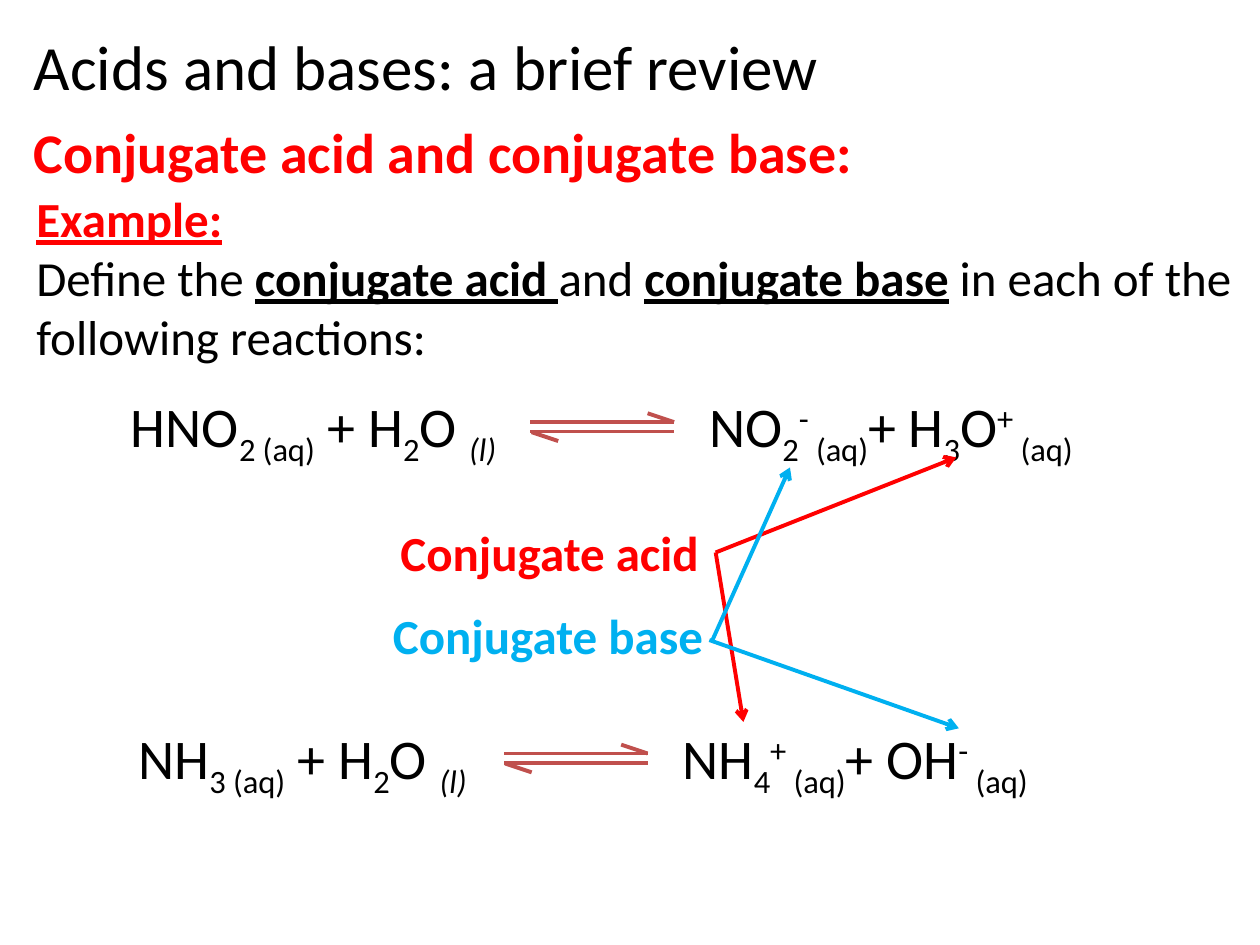
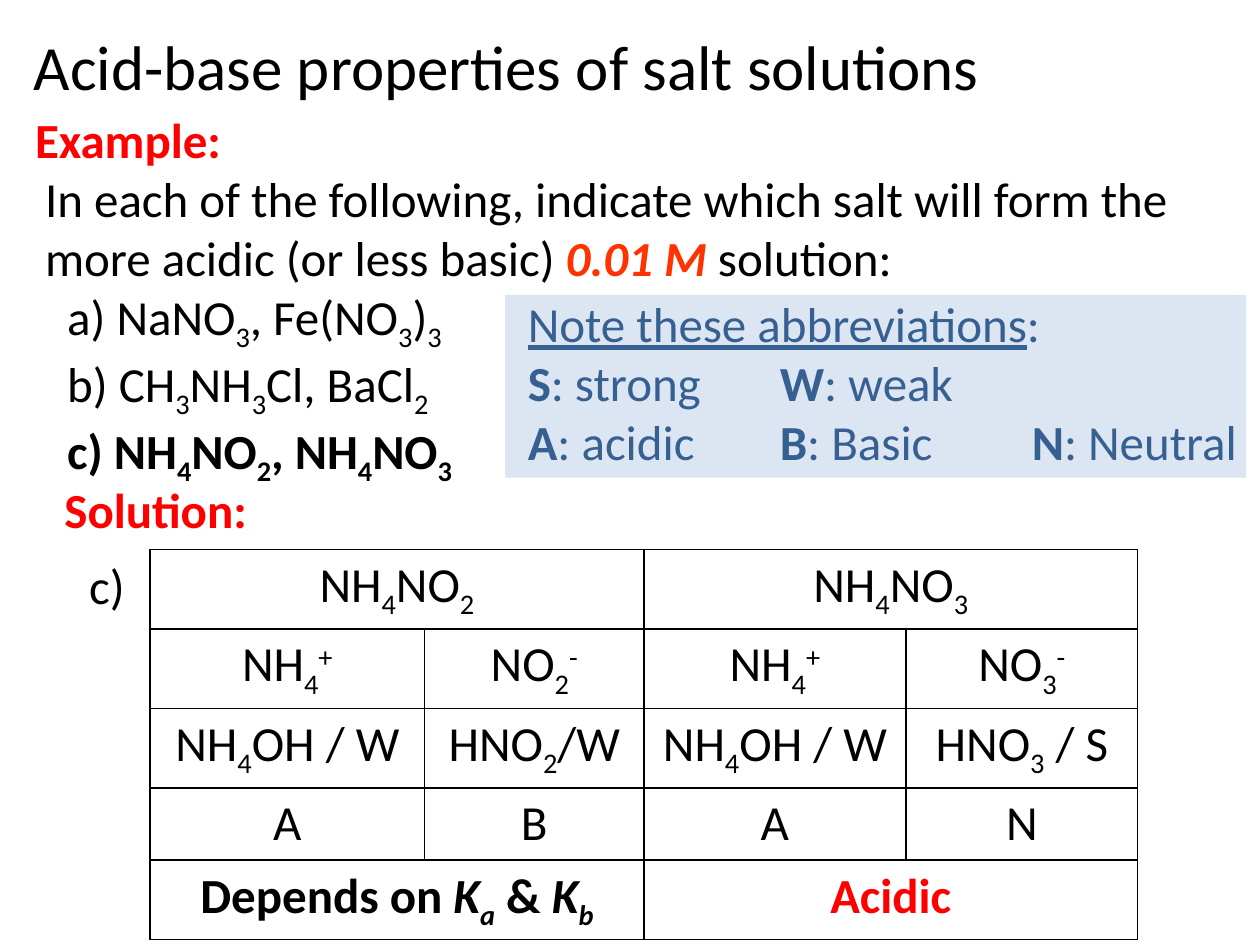
import pptx
import pptx.util
import pptx.dml.color
import pptx.enum.shapes
import pptx.enum.text
import pptx.oxml.ns
import lxml.etree

FONT = "Calibri"
BLACK, RED, ORANGE, CYAN = "000000", "FF0000", "FF3300", "00B0F0"
BRICK, NAVY, PALE = "C0504D", "376092", "DCE6F2"
TITLE_SIZE, LARGE, BODY = 36, 32, 28
LINE_WIDTH = 2.25
COLS, ROWS = 100, 75  # slide grid; boxes are (column, row, columns, rows)

prs = pptx.Presentation()
prs.slide_width = pptx.util.Inches(10)
prs.slide_height = pptx.util.Inches(7.5)


def rgb(color):
    return pptx.dml.color.RGBColor.from_string(color)


def x(cols):
    return round(prs.slide_width * cols / COLS)


def y(rows):
    return round(prs.slide_height * rows / ROWS)


def place(box):
    return x(box[0]), y(box[1]), x(box[2]), y(box[3])


def sub(parent, tag, **attrs):
    return lxml.etree.SubElement(parent, pptx.oxml.ns.qn(tag), attrs)


# Text: paired marks switch a style on and off
# * bold, ` italic, _ underline, ~ subscript, ^ superscript, # accent colour
def add_run(p, text, on, size, color, accent):
    r = p.add_run()
    r.text = text
    font = r.font
    font.name, font.size = FONT, pptx.util.Pt(size)
    font.color.rgb = rgb(accent if "#" in on else color)
    font.bold, font.italic, font.underline = "*" in on, "`" in on, "_" in on
    for mark, baseline in (("~", "-25000"), ("^", "30000")):
        if mark in on:
            font._element.set("baseline", baseline)


def write(p, marked, size=BODY, color=BLACK, accent=RED):
    on, text = set(), ""
    for ch in marked:
        if ch not in "*`_~^#":
            text += ch
            continue
        if text:
            add_run(p, text, on, size, color, accent)
            text = ""
        on ^= {ch}
    if text:
        add_run(p, text, on, size, color, accent)


def add_text(s, box, *lines, align=None, **style):
    sp = s.shapes.add_textbox(*place(box))
    tf = sp.text_frame
    tf.word_wrap = True
    for i, line in enumerate(lines):
        p = tf.paragraphs[0] if i == 0 else tf.add_paragraph()
        p.alignment = align
        write(p, line, **style)
    return sp


def add_line(s, start, end, color, arrow=False):
    cn = s.shapes.add_connector(pptx.enum.shapes.MSO_CONNECTOR.STRAIGHT,
                                x(start[0]), y(start[1]), x(end[0]), y(end[1]))
    cn.line.color.rgb = rgb(color)
    cn.line.width = pptx.util.Pt(LINE_WIDTH)
    if arrow:
        sub(cn.line._get_or_add_ln(), "a:tailEnd", type="arrow")
    sub(cn._element.spPr, "a:effectLst")
    return cn


def add_slide(title):
    s = prs.slides.add_slide(prs.slide_layouts[6])
    add_text(s, (1.7, 1.7, 96, 7.1), title, size=TITLE_SIZE)
    return s


# Reaction: reactants, equilibrium arrows, products
def add_reaction(s, box, arrow_col, reactants, products):
    left, top, width, height = box
    add_text(s, (left, top, arrow_col, height), reactants, size=LARGE)
    ax, ay = left + arrow_col, top + 2.9
    strokes = [(0, 0, 11.4, 0), (9.3, -0.7, 11.4, 0),
               (0, 0.75, 11.4, 0.75), (0.1, 0.8, 2.2, 1.5)]
    for x1, y1, x2, y2 in strokes:
        add_line(s, (ax + x1, ay + y1), (ax + x2, ay + y2), BRICK)
    gap = arrow_col + 13.2
    add_text(s, (left + gap, top, width - gap, height), products, size=LARGE)


# Labels between the reactions, with arrows to the ions they name
def add_conjugate_labels(s, box):
    left, top, width, height = box

    def pointers(color, *ends):
        return [add_line(s, (left + x1, top + y1), (left + x2, top + y2), color, True)
                for x1, y1, x2, y2 in ends]

    acid = add_text(s, (left + 0.6, top, width - 0.9, height), "*Conjugate acid*", color=RED)
    add_text(s, (left, top + 6.6, width, height), "*Conjugate base*", color=CYAN)
    for cn in pointers(RED, (26.6, 2.9, 45.7, -4.7), (26.6, 2.9, 28.8, 16.3)):
        cn.begin_connect(acid, 3)
    pointers(CYAN, (26.3, 9.9, 32.5, -3.9), (26.1, 9.8, 45.9, 16.8))


# Note with abbreviations lined up on tab stops
def add_note(s, box):
    left, top, width, height = box
    sp = s.shapes.add_shape(pptx.enum.shapes.MSO_SHAPE.RECTANGLE, *place(box))
    sp.shadow.inherit = False
    sp.fill.solid()
    sp.fill.fore_color.rgb = rgb(PALE)
    sp.line.fill.background()
    note = add_text(s, (left + 0.8, top - 0.6, width, height + 0.6),
                    "_Note these abbreviations_:",
                    "*S*: strong\t*W*: weak",
                    "*A*: acidic\t*B*: Basic\t*N*: Neutral", color=NAVY)
    for p in note.text_frame.paragraphs[1:]:
        tabs = sub(p._p.get_or_add_pPr(), "a:tabLst")
        for stop in (20, 40):
            sub(tabs, "a:tab", pos=str(x(stop)), algn="l")


# Table: rows with two entries span two columns each
def style_cell(cell):
    tcPr = cell._tc.get_or_add_tcPr()
    for side in ("a:lnL", "a:lnR", "a:lnT", "a:lnB"):
        ln = sub(tcPr, side, w=str(pptx.util.Pt(1)))
        sub(sub(ln, "a:solidFill"), "a:srgbClr", val=BLACK)
    cell.fill.background()


def add_salt_table(s, box, col_widths, rows):
    table = s.shapes.add_table(len(rows), len(col_widths), *place(box)).table
    table.first_row = table.horz_banding = False
    for column, width in zip(table.columns, col_widths):
        column.width = x(width)
    for i, entries in enumerate(rows):
        table.rows[i].height = y(box[3] / len(rows))
        for j in range(len(col_widths)):
            style_cell(table.cell(i, j))
        span = len(col_widths) // len(entries)
        for k, entry in enumerate(entries):
            cell = table.cell(i, k * span)
            if span > 1:
                cell.merge(table.cell(i, k * span + span - 1))
            p = cell.text_frame.paragraphs[0]
            p.alignment = pptx.enum.text.PP_ALIGN.CENTER
            write(p, entry)


def build_conjugates():
    s = add_slide("Acids and bases: a brief review")
    add_text(s, (1.7, 8.8, 83.2, 6.4), "*Conjugate acid and conjugate base:*",
             size=LARGE, color=RED)
    add_text(s, (1.9, 14.5, 98.5, 15.1), "#*_Example:_*#",
             "Define the *_conjugate acid _*and *_conjugate base_*"
             " in each of the following reactions:")
    add_reaction(s, (9.4, 30.6, 81.9, 6.4), 32.7,
                 "HNO~2 (aq)~ + H~2~O ~`(l)`~",
                 "NO~2~^- ^~(aq)~+ H~3~O^+ ^~(aq)~")
    add_reaction(s, (10, 56.9, 77.2, 6.4), 30,
                 "NH~3 (aq)~ + H~2~O ~`(l)`~",
                 "NH~4~^+ ^~(aq)~+ OH^- ^~(aq)~")
    add_conjugate_labels(s, (30.2, 41, 26.9, 5.7))


def build_salts():
    s = add_slide("Acid-base properties of salt solutions")
    add_text(s, (1.8, 8.2, 96, 5.7), "*Example:*", color=RED)
    question = add_text(s, (2.6, 12.9, 94.6, 24.6),
                        "In each of the following, indicate which salt will form the",
                        "more acidic (or less basic) #*`0.01 M`*# solution:",
                        "a) NaNO~3~, Fe(NO~3~)~3~",
                        "b) CH~3~NH~3~Cl, BaCl~2~",
                        "*c) NH~4~NO~2~, NH~4~NO~3~*", accent=ORANGE)
    for p in question.text_frame.paragraphs[2:]:
        p._p.get_or_add_pPr().set("marL", str(x(1.75)))
    add_text(s, (4, 37.6, 16.7, 5.7), "*Solution:*", color=RED,
             align=pptx.enum.text.PP_ALIGN.CENTER)
    add_salt_table(s, (11.9, 43.6, 78.4, 28.6), (21.8, 17.4, 20.8, 18.4), [
        ["NH~4~NO~2~", "NH~4~NO~3~"],
        ["NH~4~^+^", "NO~2~^-^", "NH~4~^+^", "NO~3~^-^"],
        ["NH~4~OH / W", "HNO~2~/W", "NH~4~OH / W", "HNO~3~ / S"],
        ["A", "B", "A", "N"],
        ["*Depends on `K~a~` & `K~b~`*", "#*Acidic*#"],
    ])
    add_text(s, (6.1, 43.6, 5.8, 5.7), "c)")
    add_note(s, (40.1, 23.4, 58.8, 14.5))


if __name__ == "__main__":
    build_conjugates()
    build_salts()
    prs.save("out.pptx")
